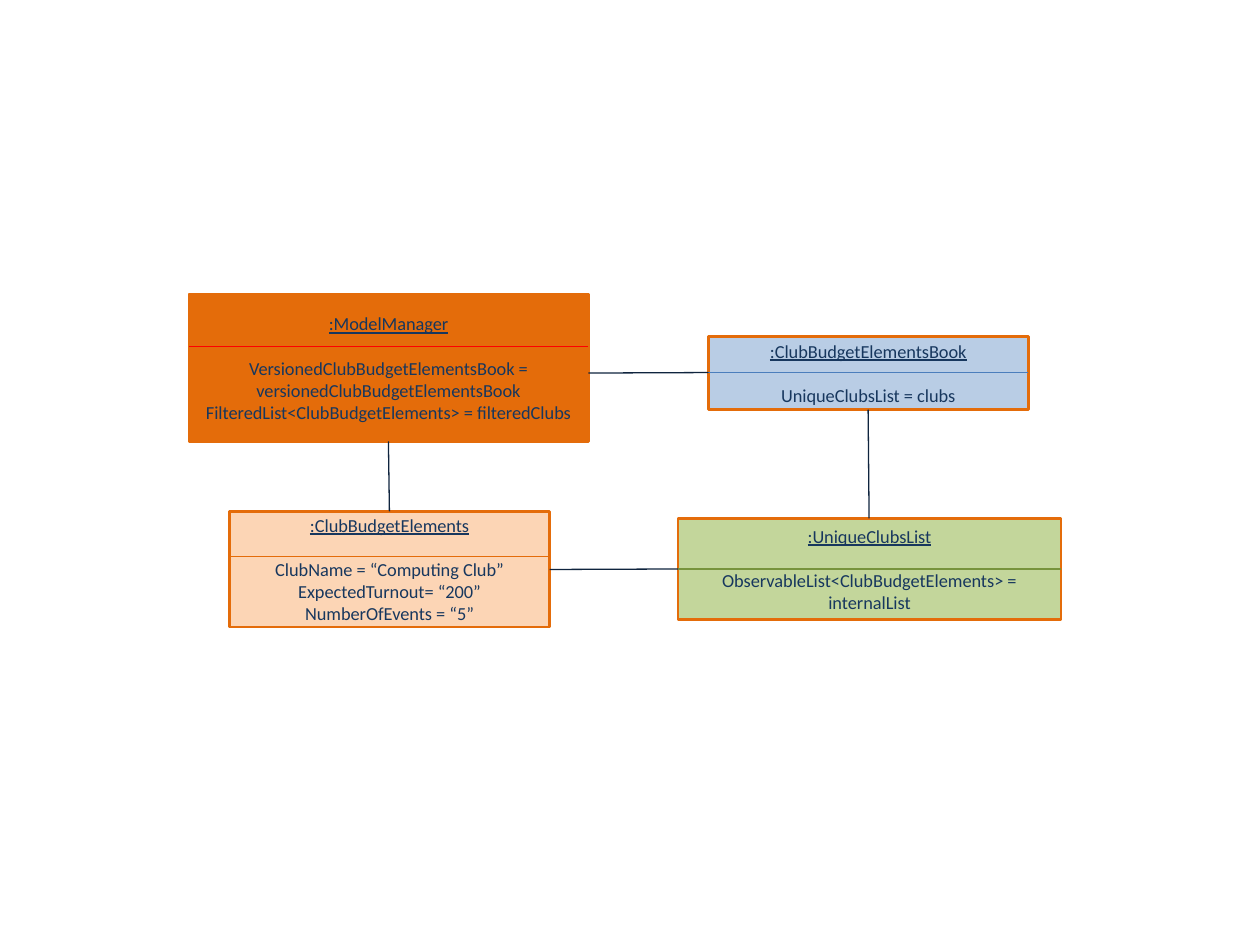
from dataclasses import dataclass

from lxml import etree
from pptx import Presentation
from pptx.dml.color import RGBColor
from pptx.enum.shapes import MSO_CONNECTOR, MSO_SHAPE
from pptx.enum.text import MSO_ANCHOR, PP_ALIGN
from pptx.oxml.ns import qn
from pptx.slide import Slide
from pptx.util import Cm, Pt

RECT = MSO_SHAPE.RECTANGLE
STRAIGHT = MSO_CONNECTOR.STRAIGHT
MIDDLE = MSO_ANCHOR.MIDDLE
CENTER = PP_ALIGN.CENTER
ORANGE = "E46C0A"
NAVY = "17375E"
INK = "0F243E"


@dataclass
class Box:
    name: str
    fields: list[str]
    left: float
    top: float
    width: float
    height: float
    fill: str
    split: float
    rule: str


@dataclass
class Line:
    left: float
    top: float
    right: float
    low: float
    color: str = INK


BOXES = [
    Box("ModelManager",
        ["VersionedClubBudgetElementsBook = versionedClubBudgetElementsBook",
         "FilteredList<ClubBudgetElements> = filteredClubs"],
        3.81, 5.93, 8.05, 2.97, ORANGE, 6.99, "FF0000"),
    Box("ClubBudgetElementsBook", ["UniqueClubsList = clubs"],
        14.28, 6.78, 6.45, 1.48, "B9CDE5", 7.51, "4B7EBC"),
    Box("UniqueClubsList",
        ["ObservableList<ClubBudgetElements> = internalList"],
        13.67, 10.45, 7.72, 2.04, "C3D69B", 11.47, "77933C"),
    Box("ClubBudgetElements",
        ["ClubName = “Computing Club”", "ExpectedTurnout= “200”",
         "NumberOfEvents = “5”"],
        4.63, 10.31, 6.45, 2.33, "FCD5B5", 11.22, ORANGE),
]

LINKS = [
    Line(7.83, 8.9, 7.85, 10.31),
    Line(13.67, 11.47, 11.08, 11.48),
    Line(17.52, 10.45, 17.5, 8.26),
    Line(14.28, 7.51, 11.86, 7.52),
]


def color(code: str) -> RGBColor:
    return RGBColor.from_string(code)


def add_line(slide: Slide, item: Line) -> None:
    line = slide.shapes.add_connector(
        STRAIGHT, Cm(item.left), Cm(item.top), Cm(item.right), Cm(item.low))
    line.line.color.rgb = color(item.color)
    line.line.width = Pt(0.75)
    etree.SubElement(line._element.spPr, qn("a:effectLst"))


def add_box(slide: Slide, box: Box) -> None:
    shape = slide.shapes.add_shape(
        RECT, Cm(box.left), Cm(box.top), Cm(box.width), Cm(box.height))
    shape.shadow.inherit = False
    shape.fill.solid()
    shape.fill.fore_color.rgb = color(box.fill)
    shape.line.color.rgb = color(ORANGE)
    shape.line.width = Pt(1.5)
    frame = shape.text_frame
    frame.word_wrap = True
    frame.vertical_anchor = MIDDLE
    frame.text = "\n".join([f":{box.name}", *box.fields])
    for row, para in enumerate(frame.paragraphs):
        para.alignment = CENTER
        if row == 1:
            para.space_before = Pt(12.8)
        for run in para.runs:
            run.font.name = "Calibri"
            run.font.size = Pt(10.5)
            run.font.color.rgb = color(NAVY)
            run.font.underline = row == 0
    add_line(slide, Line(box.left, box.split, box.left + box.width,
                         box.split, box.rule))


def main() -> None:
    deck = Presentation()
    deck.slide_width = Cm(25.4)
    deck.slide_height = Cm(19.05)
    slide = deck.slides.add_slide(deck.slide_layouts[6])
    for box in BOXES:
        add_box(slide, box)
    for link in LINKS:
        add_line(slide, link)
    deck.save("out.pptx")


if __name__ == "__main__":
    main()
